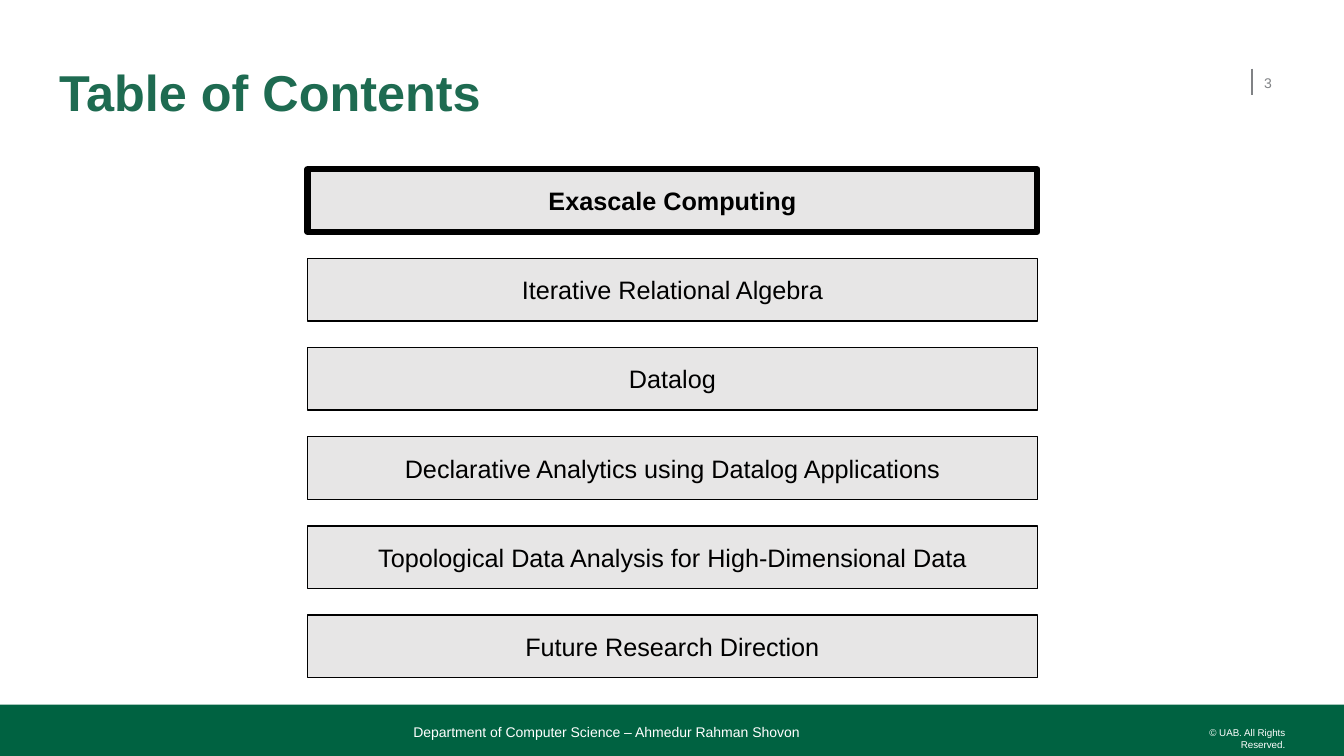
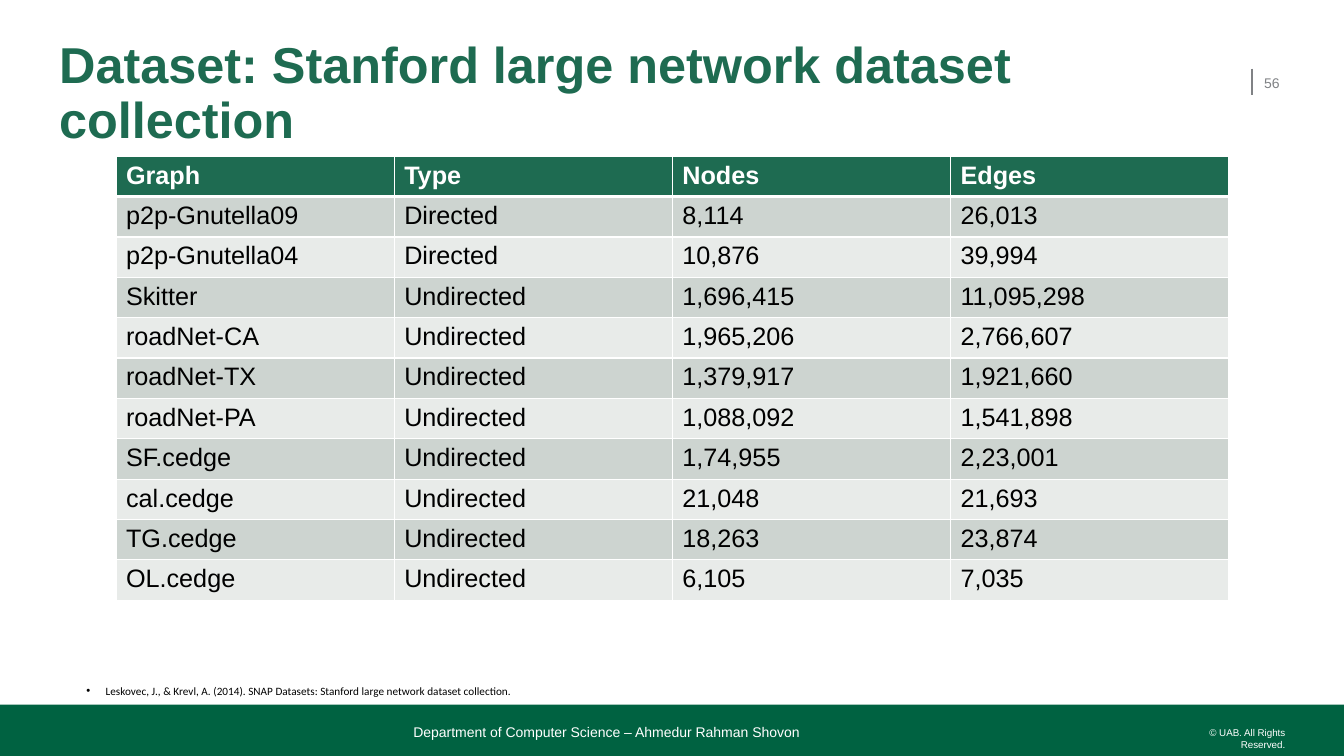
from lxml.etree import SubElement as Sub
from pptx import Presentation
from pptx.dml.color import RGBColor
from pptx.enum.shapes import MSO_CONNECTOR as Link, MSO_SHAPE as Form
from pptx.enum.text import MSO_ANCHOR as Anchor, MSO_AUTO_SIZE as Fit, PP_ALIGN as Align
from pptx.oxml.ns import qn
from pptx.util import Inches, Pt

# Shared look
rgb = RGBColor.from_string
GREEN, BAND, GRAY = "1E6B51", "006241", "808285"
BLACK, WHITE, PALE = "000000", "FFFFFF", "E7E6E6"
STRIPES = ["E8EBE9", "CDD4D0"]

deck = Presentation()
deck.slide_width, deck.slide_height = Inches(13.33), Inches(7.5)
col, row = deck.slide_width / 100, deck.slide_height / 100


def area(left, top, width, height):
    """Turn hundredths of the slide into lengths."""
    return int(left * col), int(top * row), int(width * col), int(height * row)


def write(frame, words, size, color, bold=False, align=Align.LEFT, font="Arial"):
    """Put one run into the first paragraph of a frame."""
    par = frame.paragraphs[0]
    par.alignment = align
    run = par.add_run()
    run.text = words
    run.font.name, run.font.size, run.font.bold = font, Pt(size), bold
    run.font.color.rgb = rgb(color)
    return par


# Title, page number and footer of every slide
heads = [("Table of Contents", "3"),
         ("Dataset: Stanford large network dataset collection", "56")]
slides = []
for head, page in heads:
    slide = deck.slides.add_slide(deck.slide_layouts[5])
    slides.append(slide)

    rule = slide.shapes.add_connector(Link.STRAIGHT, *area(93.15, 9.07, 93.15, 12.53))
    rule.line.color.rgb, rule.line.width = rgb(GRAY), Pt(1)
    Sub(rule.element.spPr, qn("a:effectLst"))

    band = slide.shapes.add_shape(Form.RECTANGLE, *area(0, 93.2, 100, 6.8))
    band.shadow.inherit = False
    band.fill.solid()
    band.fill.fore_color.rgb = rgb(BAND)
    band.line.fill.background()

    title = slide.shapes.title
    title.left, title.top, title.width, title.height = area(4.4, 6.93, 87.25, 11.2)
    frame = title.text_frame
    frame.margin_left = frame.margin_right = frame.margin_top = frame.margin_bottom = 0
    frame.vertical_anchor, frame.auto_size = Anchor.MIDDLE, Fit.NONE
    frame.word_wrap = True
    write(frame, head, 36, GREEN, True).line_spacing = 0.9

    notes = [
        ((86.63, 96.13, 9, 1.6), "© UAB. All Rights Reserved.", 7, WHITE, Align.RIGHT, Anchor.TOP),
        ((94.05, 8.27, 2.48, 5.33), page, 10, GRAY, Align.LEFT, Anchor.MIDDLE),
        ((30.75, 94.8, 53.1, 3.07), "Department of Computer Science – Ahmedur Rahman Shovon",
         10, WHITE, Align.LEFT, Anchor.BOTTOM),
    ]
    for spot, words, size, color, align, anchor in notes:
        frame = slide.shapes.add_textbox(*area(*spot)).text_frame
        frame.margin_left = frame.margin_right = frame.margin_top = frame.margin_bottom = 0
        frame.word_wrap, frame.vertical_anchor = True, anchor
        write(frame, words, size, color, align=align)

# Contents: a stack of equal bars, the current one in bold
topics = ["Exascale Computing", "Iterative Relational Algebra", "Datalog",
          "Declarative Analytics using Datalog Applications",
          "Topological Data Analysis for High-Dimensional Data",
          "Future Research Direction"]
for i, topic in enumerate(topics):
    now = i == 0
    bar = slides[0].shapes.add_shape(Form.RECTANGLE, *area(22.88, 22.4 + 11.79 * i, 54.3, 8.27))
    bar.shadow.inherit = False
    bar.fill.solid()
    bar.fill.fore_color.rgb = rgb(PALE)
    bar.line.color.rgb, bar.line.width = rgb(BLACK), Pt(4.5 if now else 1)
    bar.text_frame.vertical_anchor = Anchor.MIDDLE
    write(bar.text_frame, topic, 18, BLACK, now, Align.CENTER)

# Table of graphs
rows = [
    ("Graph", "Type", "Nodes", "Edges"),
    ("p2p-Gnutella09", "Directed", "8,114", "26,013"),
    ("p2p-Gnutella04", "Directed", "10,876", "39,994"),
    ("Skitter", "Undirected", "1,696,415", "11,095,298"),
    ("roadNet-CA", "Undirected", "1,965,206", "2,766,607"),
    ("roadNet-TX", "Undirected", "1,379,917", "1,921,660"),
    ("roadNet-PA", "Undirected", "1,088,092", "1,541,898"),
    ("SF.cedge", "Undirected", "1,74,955", "2,23,001"),
    ("cal.cedge", "Undirected", "21,048", "21,693"),
    ("TG.cedge", "Undirected", "18,263", "23,874"),
    ("OL.cedge", "Undirected", "6,105", "7,035"),
]
table = slides[1].shapes.add_table(len(rows), 4, *area(8.63, 20.67, 82.8, 58.67)).table
for r, texts in enumerate(rows):
    top = r == 0
    for c, words in enumerate(texts):
        cell = table.cell(r, c)
        write(cell.text_frame, words, 18, WHITE if top else BLACK, top)
        # White borders, thick below the header
        props = cell._tc.get_or_add_tcPr()
        for side in "LRTB":
            thick = (r, side) in [(0, "B"), (1, "T")]
            edge = Sub(props, qn("a:ln" + side), w=str(Pt(3 if thick else 1)))
            Sub(Sub(edge, qn("a:solidFill")), qn("a:srgbClr"), val=WHITE)
        cell.fill.solid()
        cell.fill.fore_color.rgb = rgb(GREEN if top else STRIPES[r % 2])

# Reference
frame = slides[1].shapes.add_textbox(*area(5.7, 89.87, 83.1, 3.2)).text_frame
frame.word_wrap = True
par = write(frame, "Leskovec, J., & Krevl, A. (2014). SNAP Datasets: "
            "Stanford large network dataset collection.", 8, BLACK, font="Calibri")
props = par._p.get_or_add_pPr()
props.set("marL", str(Inches(0.19)))
props.set("indent", str(-Inches(0.19)))
Sub(props, qn("a:buFont"), typeface="Arial")
Sub(props, qn("a:buChar"), char="•")

deck.save("out.pptx")
